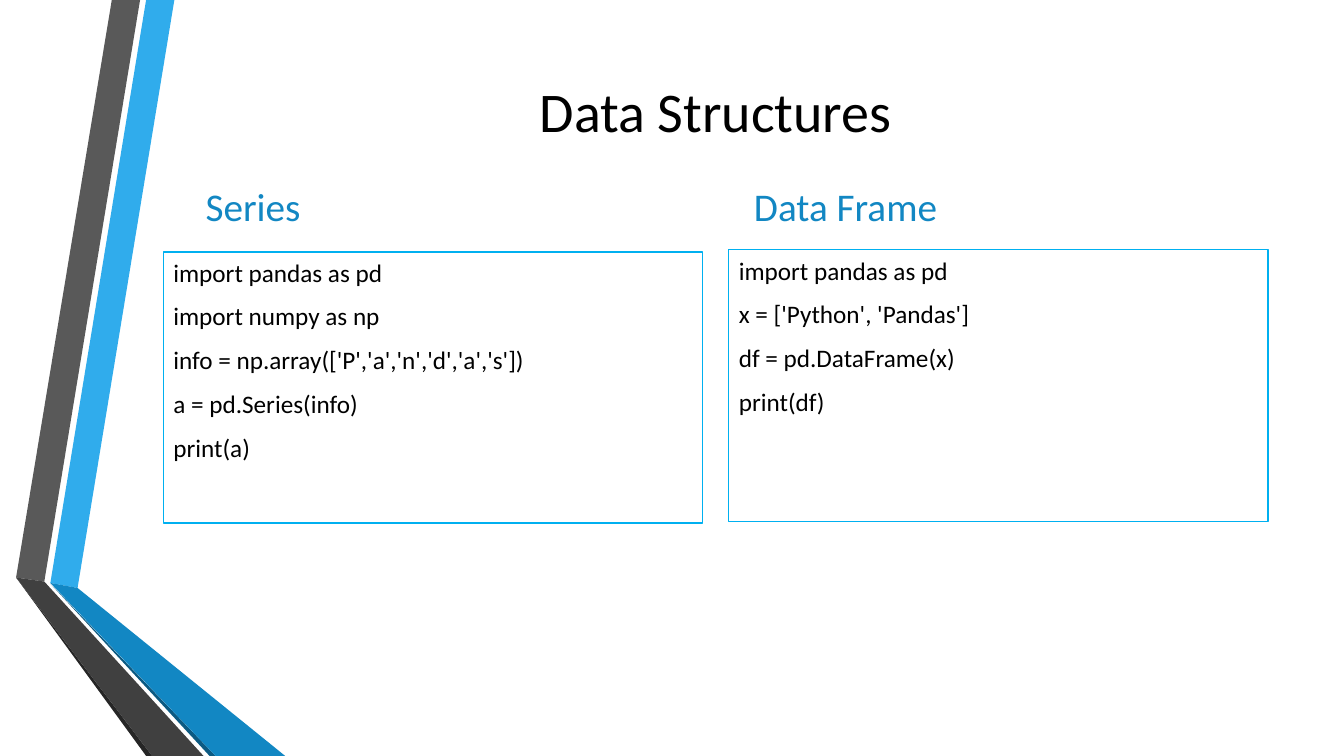
from lxml import etree
from pptx import Presentation
from pptx.dml.color import RGBColor
from pptx.enum.text import MSO_ANCHOR, MSO_AUTO_SIZE, PP_ALIGN
from pptx.oxml.ns import qn
from pptx.util import Inches, Pt

TOP, MIDDLE, BOTTOM = MSO_ANCHOR.TOP, MSO_ANCHOR.MIDDLE, MSO_ANCHOR.BOTTOM
LEFT, CENTER = PP_ALIGN.LEFT, PP_ALIGN.CENTER
FIXED = MSO_AUTO_SIZE.NONE
COLS, ROWS = 80, 45
CELL = Inches(1) / 6
COLORS = {
    "text": "000000", "head": "1287C3", "edge": "00B0F0",
    "sky": "30ACEC", "blue": "1287C3", "navy": "0C5A82",
    "gray": "595959", "dark": "404040", "black": "262626",
}
RIBBONS = [
    ("sky", [(3, 34.7), (4.62, 35), (10.38, 0), (8.7, 0)]),
    ("gray", [(8.34, 0), (6.66, 0), (0.96, 34.38), (2.64, 34.62)]),
    ("black", [(0.96, 34.38), (8.7, ROWS), (9.06, ROWS)]),
    ("navy", [(3, 34.74), (12.48, ROWS), (12.84, ROWS)]),
    ("blue", [(3, 34.7), (12.84, ROWS), (16.98, ROWS), (4.62, 35)]),
    ("dark", [(12.12, ROWS), (2.64, 34.62), (0.96, 34.38), (9.06, ROWS)]),
]
PANELS = [
    ("Series", (11.64, 10.2, 30.24, 3.78), (9.72, 15, 32.1, 16.14), 1, [
        "import pandas as pd",
        "import numpy as np",
        "info = np.array(['P','a','n','d','a','s'])",
        "a = pd.Series(info)",
        "print(a)",
    ]),
    ("Data Frame", (44.28, 10.2, 30.36, 3.78), (43.38, 14.88, 32.1, 16.14), 0.75, [
        "import pandas as pd",
        "x = ['Python', 'Pandas']",
        "df = pd.DataFrame(x)",
        "print(df)",
    ]),
]


def cells(count):
    return round(count * CELL)


def paint(color, name):
    color.rgb = RGBColor.from_string(COLORS[name])


class Deck:
    """Hold the style and the current slide, and add each kind of element."""

    font = "Calibri"

    def __init__(self):
        self.file = Presentation()
        self.file.slide_width = cells(COLS)
        self.file.slide_height = cells(ROWS)
        self.slide = self.file.slides.add_slide(self.file.slide_layouts[4])
        self.count = 0

    def ribbon(self, name, spots):
        points = [(cells(x), cells(y)) for x, y in spots]
        shapes = self.slide.shapes
        form = shapes.build_freeform(*points[0])
        form.add_line_segments(points[1:], close=True)
        shape = form.convert_to_shape()
        shape.shadow.inherit = False
        shape.fill.solid()
        paint(shape.fill.fore_color, name)
        shape.line.fill.background()
        shapes.element.insert(2 + self.count, shape.element)
        self.count += 1

    def label(self, slot, spot, lines, size, color, anchor, align=LEFT, after=6):
        holder = self.slide.placeholders[slot]
        for key, value in zip(("left", "top", "width", "height"), spot):
            setattr(holder, key, cells(value))
        frame = holder.text_frame
        frame.text = "\n".join(lines)
        form = {"word_wrap": True, "auto_size": FIXED, "vertical_anchor": anchor}
        for key, value in form.items():
            setattr(frame, key, value)
        look = {"name": self.font, "size": Pt(size), "bold": False}
        for para in frame.paragraphs:
            para.alignment = align
            para.space_after = Pt(after)
            props = para._p.get_or_add_pPr()
            props.set("marL", "0")
            props.set("indent", "0")
            etree.SubElement(props, qn("a:buNone"))
            for run in para.runs:
                for key, value in look.items():
                    setattr(run.font, key, value)
                paint(run.font.color, color)
        return holder

    def title(self, text, spot):
        self.label(0, spot, [text], 40, "text", MIDDLE, CENTER, 0)

    def head(self, slot, text, spot):
        self.label(slot, spot, [text], 28, "head", BOTTOM)

    def code(self, slot, lines, spot, width):
        box = self.label(slot, spot, lines, 18, "text", TOP)
        box.line.width = Pt(width)
        paint(box.line.color, "edge")


def main():
    deck = Deck()
    for name, spots in RIBBONS:
        deck.ribbon(name, spots)
    deck.title("Data Structures", (9.72, 3.54, 65.76, 6))
    for i, (name, top, spot, width, lines) in enumerate(PANELS):
        deck.head(2 * i + 1, name, top)
        deck.code(2 * i + 2, lines, spot, width)
    deck.file.save("out.pptx")


if __name__ == "__main__":
    main()
